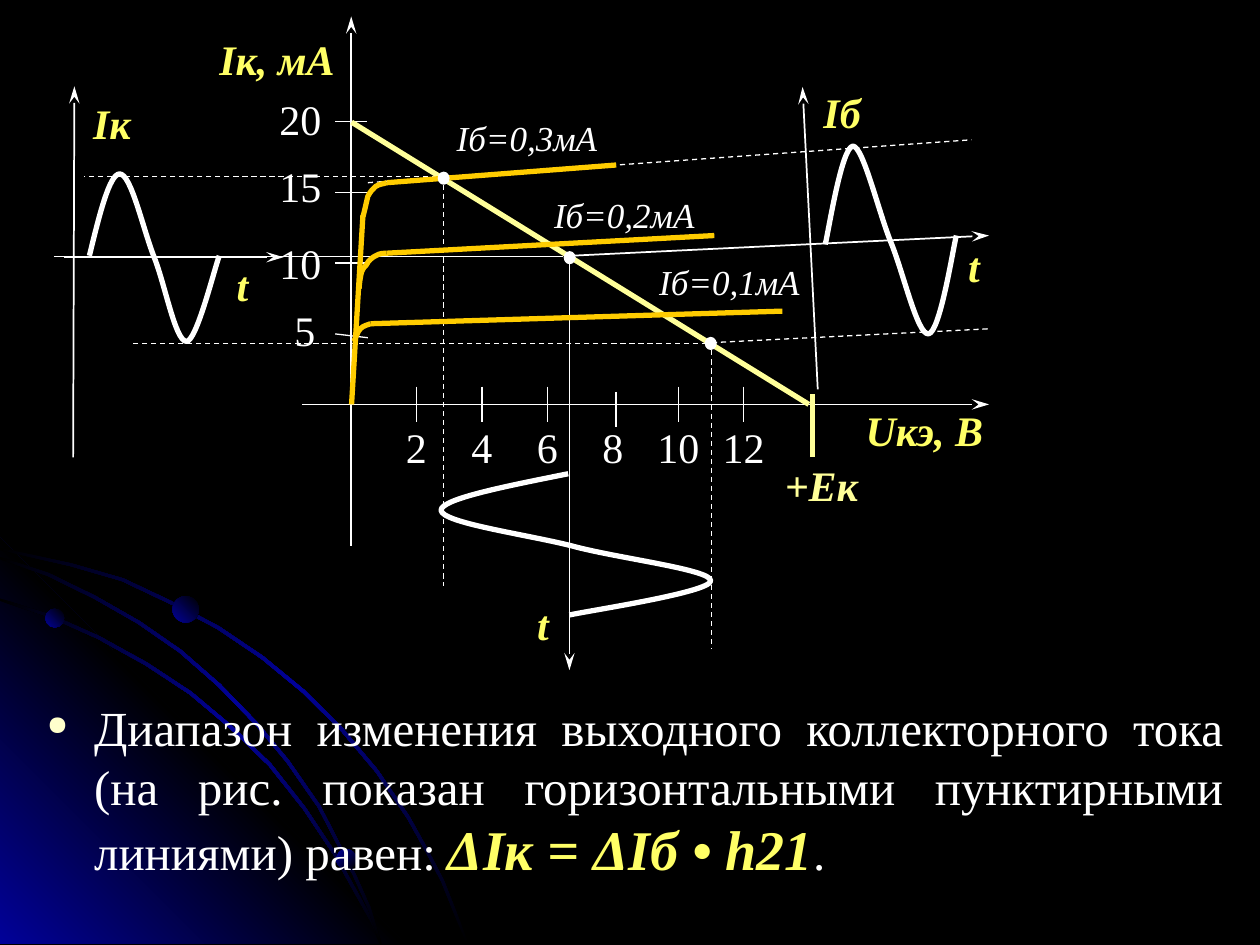
from dataclasses import dataclass

from lxml import etree
from pptx import Presentation
from pptx.dml.color import RGBColor
from pptx.enum.dml import MSO_LINE
from pptx.enum.shapes import MSO_CONNECTOR, MSO_SHAPE
from pptx.enum.text import PP_ALIGN
from pptx.oxml.ns import qn
from pptx.util import Pt

STRAIGHT = MSO_CONNECTOR.STRAIGHT
OVAL = MSO_SHAPE.OVAL
DASH = MSO_LINE.DASH
CENTER, JUSTIFY = PP_ALIGN.CENTER, PP_ALIGN.JUSTIFY
FONT = "Times New Roman"
WHITE, YELLOW, PALE, ORANGE = "FFFFFF", "FFFF66", "FFFF99", "FFCC00"
BLACK, BLUE = "000000", "010199"
GLOW = (BLACK, BLUE, BLACK)

Point = tuple[float, float]


@dataclass
class Line:
    start: Point
    end: Point
    color: str = WHITE
    width: float = 0.75
    dashed: bool = False
    arrow: bool = False


@dataclass
class Label:
    text: str
    left: float
    top: float
    width: float
    height: float = 30.2
    color: str = WHITE
    size: float = 24
    bold: bool = False
    italic: bool = False


def rgb(color: str) -> RGBColor:
    return RGBColor.from_string(color)


def style_run(run, color: str, size: float, bold=False, italic=False) -> None:
    font = run.font
    font.name, font.size, font.bold, font.italic = FONT, Pt(size), bold, italic
    font.color.rgb = rgb(color)


def draw_line(shapes, line: Line) -> None:
    connector = shapes.add_connector(STRAIGHT, *(Pt(v) for v in (*line.start, *line.end)))
    connector.line.color.rgb = rgb(line.color)
    connector.line.width = Pt(line.width)
    if line.dashed:
        connector.line.dash_style = DASH
    if line.arrow:
        etree.SubElement(connector.line._get_or_add_ln(), qn("a:tailEnd"),
                         type="stealth", w="med", len="lg")
    etree.SubElement(connector._element.spPr, qn("a:effectLst"))


def draw_label(shapes, label: Label) -> None:
    box = shapes.add_textbox(Pt(label.left), Pt(label.top), Pt(label.width), Pt(label.height))
    frame = box.text_frame
    frame.margin_left = frame.margin_right = frame.margin_top = frame.margin_bottom = 0
    frame.word_wrap = True
    frame.text = label.text
    paragraph = frame.paragraphs[0]
    paragraph.alignment = CENTER
    style_run(paragraph.runs[0], label.color, label.size, label.bold, label.italic)


def draw_outline(shapes, points: list[Point], close: bool):
    first, *rest = [(Pt(x), Pt(y)) for x, y in points]
    builder = shapes.build_freeform(*first)
    builder.add_line_segments(rest, close=close)
    shape = builder.convert_to_shape()
    shape.shadow.inherit = False
    return shape


def draw_curve(shapes, knots: list[Point], color: str) -> None:
    """Draw joined cubic Bezier segments: a start, then two controls and an end each."""
    shape = draw_outline(shapes, knots, close=False)
    outline = next(shape._element.iter(qn("a:path")))
    segments = outline.findall(qn("a:lnTo"))
    for i in range(0, len(segments), 3):
        cubic = etree.SubElement(outline, qn("a:cubicBezTo"))
        for segment in segments[i:i + 3]:
            cubic.append(segment[0])
            outline.remove(segment)
    shape.fill.background()
    shape.line.color.rgb = rgb(color)
    shape.line.width = Pt(3)


def fill_gradient(shape, colors: tuple[str, ...], angle: int) -> None:
    shape.line.fill.background()
    shape.fill.gradient()
    gradient = shape._element.spPr.find(qn("a:gradFill"))
    for child in list(gradient):
        gradient.remove(child)
    stops = etree.SubElement(gradient, qn("a:gsLst"))
    for i, color in enumerate(colors):
        stop = etree.SubElement(stops, qn("a:gs"), pos=str(100000 * i // (len(colors) - 1)))
        etree.SubElement(stop, qn("a:srgbClr"), val=color)
    etree.SubElement(gradient, qn("a:lin"), ang=str(angle * 60000), scaled="0")


def draw_oval(shapes, left: float, top: float, width: float, height: float):
    shape = shapes.add_shape(OVAL, Pt(left), Pt(top), Pt(width), Pt(height))
    shape.shadow.inherit = False
    return shape


def draw_ribbon(shapes, edge: list[Point]) -> None:
    inner = [(max(0, x - 1.2), min(539.3, y + 1.4)) for x, y in reversed(edge)]
    fill_gradient(draw_outline(shapes, edge + inner, close=True), GLOW, 225)


# Corner decoration
ARCS = [
    [(0, 313), (41, 322), (70.5, 330.5), (98, 343.5), (125.3, 358), (150.5, 375),
     (174.2, 394.5), (195.8, 416), (216, 440), (234, 466.5), (244, 484.5), (253.4, 502.5),
     (260.6, 520.5), (267.8, 539.3)],
    [(0, 342), (29.5, 351.4), (56.9, 363.6), (84.2, 378.7), (109.4, 395.3), (132.5, 414.7),
     (154.8, 436.3), (174.2, 460.8), (191.5, 486.7), (205.9, 512.6), (213.1, 525.6),
     (218.2, 539.3)],
    [(0, 318.2), (28.1, 327.6), (54.7, 340.6), (79.9, 355), (103.7, 371.5), (126, 391),
     (146.9, 412.6), (164.9, 434.2), (182.9, 460.1), (203, 499), (211.7, 518.4),
     (218.2, 539.3)],
]
CORNER = [(0, 307.4), (0, 539.3), (231.8, 539.3)]
BEADS = [(25.9, 347.8, 10.8, 135), (192.2, 485.3, 11.5, 225), (98.6, 340.6, 15.1, 135)]

# Graph lines
DASHED = [
    ((210.2, 104.4), (555.1, 79.9)), ((406.8, 195.8), (565.2, 187.9)),
    ((249.8, 100.8), (48.2, 100.8)), ((403.9, 196.3), (74.2, 196.3)),
    ((253.4, 105.8), (253.4, 334.8)), ((406.5, 200.2), (406.5, 370.8)),
]
AXES = [
    ((325.4, 146.2), (565.2, 134.6)), ((467.3, 222.5), (458.6, 49.7)),
    ((200.7, 311.8), (200.7, 9.4)), ((172.8, 231.1), (565.2, 231.1)),
    ((41.8, 261.4), (42.5, 49.3)), ((36.7, 147), (162, 147)),
    ((325.4, 149.8), (325.4, 383)),
]
TICKS = [((x, y), (x, y + 20.2)) for x, y in
         [(238, 221), (275.5, 221), (312.8, 221), (352, 223.9), (387.7, 221), (425, 221)]]
TICKS += [((191.5, y), (209.5, y)) for y in (69.6, 110, 150.3)]
TICKS += [((191.5, 190.8), (210.2, 193)), ((321.8, 146.6), (31, 146.6))]
LOAD_LINE = [((462.2, 231.1), (200.9, 69.8)), ((464.4, 225.4), (464.4, 261.4))]
CHARACTERISTICS = [
    ((211.7, 185), (447.1, 177.8)), ((221, 144.7), (408.2, 134.6)),
    ((221, 104.4), (352.1, 94.3)), ((200.9, 231.1), (207.4, 123.1)),
]
LINES = (
    [Line(*ends, dashed=True) for ends in DASHED]
    + [Line(*ends, width=1, arrow=True) for ends in AXES]
    + [Line(*ends) for ends in TICKS]
    + [Line(*ends, color=PALE, width=3) for ends in LOAD_LINE]
    + [Line(*ends, color=ORANGE, width=3) for ends in CHARACTERISTICS]
)

# Bends of the characteristics, then the signal waves
BENDS = [
    [(202.3, 195.1), (203, 193.7), (204.5, 189.4), (205.9, 187.9), (208.1, 185.8),
     (210.2, 185.8), (211.7, 185)],
    [(205.2, 164.9), (205.2, 163.4), (205.9, 157.7), (206.6, 155.5), (207.4, 153.4),
     (208.1, 152.6), (209.5, 151.2), (210.2, 149), (213.1, 146.9), (214.6, 146.2),
     (216.7, 144.7), (219.6, 144.7), (221, 144.7)],
    [(207.4, 123.8), (208.1, 121.7), (209.5, 115.2), (210.2, 112.3), (211.7, 109.4),
     (213.1, 108), (214.6, 106.6), (216.7, 105.1), (219.6, 105.1), (221, 104.4)],
]
WAVES = [
    [(471.6, 139.7), (473.8, 130.3), (481, 84.2), (487.4, 83.5), (493.2, 83.5), (501.8, 120.2),
     (509, 138.2), (516.2, 155.5), (524.2, 191.5), (530.6, 190.8), (537.1, 190.1),
     (544.3, 144), (546.5, 134.6)],
    [(51.1, 146.2), (56.9, 122.4), (62.6, 99.4), (68.4, 99.4), (74.9, 99.4), (81.4, 129.6),
     (87.8, 146.2), (94.3, 162), (100.1, 195.1), (106.6, 195.1), (112.3, 195.1),
     (122.4, 154.1), (125.3, 146.2)],
    [(324.7, 270.7), (288.7, 277.9), (252, 285.1), (252, 291.6), (252.7, 298.8), (300.2, 305.3),
     (326.2, 311.8), (352.1, 319), (406.8, 325.4), (406.1, 331.9), (406.1, 338.4),
     (339.1, 348.5), (325.4, 351.4)],
]
OPERATING_POINTS = [(250.6, 98.6), (403.2, 193), (322.6, 144)]

# Labels
LABELS = [Label(text, 153, top, 37.4) for text, top in
          [("20", 53.3), ("15", 91.7), ("10", 135.9)]]
LABELS.append(Label("5", 160.2, 174.2, 28.1))
for index in range(6):
    label_width = 18.7 if index < 3 else 37.4
    LABELS.append(Label(str(2 * index + 2), 238 + 37.4 * index - label_width / 2, 241,
                        label_width))
LABELS += [Label(text, left, top, width, size=20, italic=True) for text, left, top, width in
           [("Iб=0,3мА", 240.3, 66.4, 121.7), ("Iб=0,2мА", 295.9, 110.7, 121.7),
            ("Iб=0,1мА", 360.7, 149, 112.3)]]
LABELS += [Label(*place, color=YELLOW, bold=True, italic=True) for place in
           [("Iк, мА", 116.2, 19.4, 84.2, 37.4), ("Iк", 45.2, 55.7, 37.4, 34.6),
            ("Iб", 462.5, 49.7, 37.4), ("Uкэ, В", 481, 231.1, 94.3),
            ("t", 537.8, 137.5, 37.4), ("t", 119.8, 148.3, 37.4), ("t", 294, 342, 32.4)]]
LABELS.append(Label("+Ек", 439.5, 262.8, 59.8, color=PALE, bold=True, italic=True))


def draw_body(shapes) -> None:
    box = shapes.add_textbox(Pt(19.7), Pt(394.9), Pt(686.2), Pt(127.4))
    box.text_frame.word_wrap = True
    paragraph = box.text_frame.paragraphs[0]
    paragraph.alignment = JUSTIFY
    properties = paragraph._p.get_or_add_pPr()
    properties.set("marL", str(Pt(27)))
    properties.set("indent", str(Pt(-27)))
    bullet_color = etree.SubElement(properties, qn("a:buClr"))
    etree.SubElement(bullet_color, qn("a:srgbClr"), val="FFFFCC")
    etree.SubElement(properties, qn("a:buSzPct"), val="55000")
    etree.SubElement(properties, qn("a:buChar"), char="●")
    for text, color, size, strong in [
        ("Диапазон изменения выходного коллекторного тока (на рис. показан "
         "горизонтальными пунктирными линиями) равен: ", WHITE, 28, False),
        ("ΔIк = ΔIб • h21", YELLOW, 32, True),
        (".", WHITE, 28, False),
    ]:
        run = paragraph.add_run()
        run.text = text
        style_run(run, color, size, strong, strong)


def main() -> None:
    presentation = Presentation()
    presentation.slide_width, presentation.slide_height = Pt(720), Pt(540)
    slide = presentation.slides.add_slide(presentation.slide_layouts[6])
    slide.background.fill.solid()
    slide.background.fill.fore_color.rgb = rgb(BLACK)
    shapes = slide.shapes

    # Decoration and body text
    fill_gradient(draw_outline(shapes, CORNER, close=True), (BLUE, BLACK, BLUE), 135)
    for edge in ARCS:
        draw_ribbon(shapes, edge)
    for left, top, size, angle in BEADS:
        fill_gradient(draw_oval(shapes, left, top, size, size), (BLACK, BLUE), angle)
    draw_body(shapes)

    # Graph
    for line in LINES:
        draw_line(shapes, line)
    for color, curves in ((ORANGE, BENDS), (WHITE, WAVES)):
        for knots in curves:
            draw_curve(shapes, knots, color)
    for left, top in OPERATING_POINTS:
        dot = draw_oval(shapes, left, top, 5.8, 6.5)
        dot.fill.solid()
        dot.fill.fore_color.rgb = dot.line.color.rgb = rgb(WHITE)
        dot.line.width = Pt(1)
    for label in LABELS:
        draw_label(shapes, label)

    presentation.save("out.pptx")


if __name__ == "__main__":
    main()
